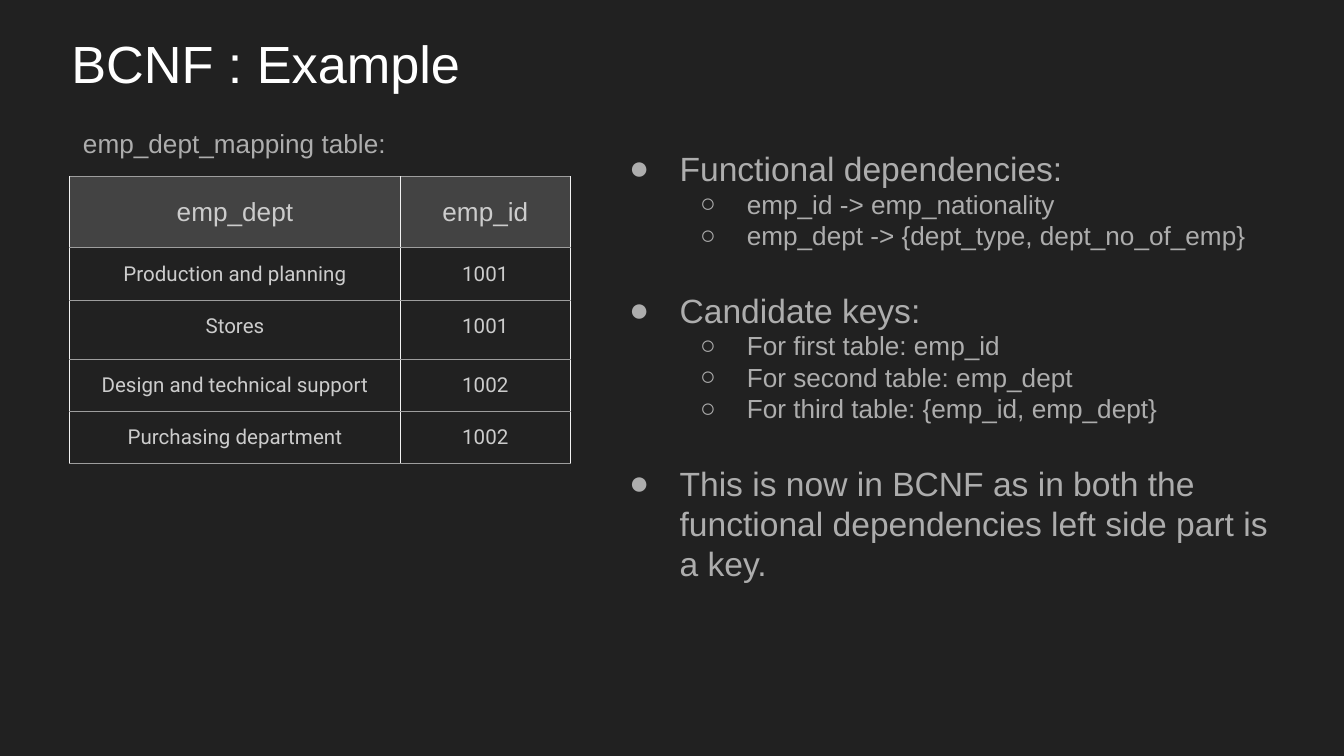
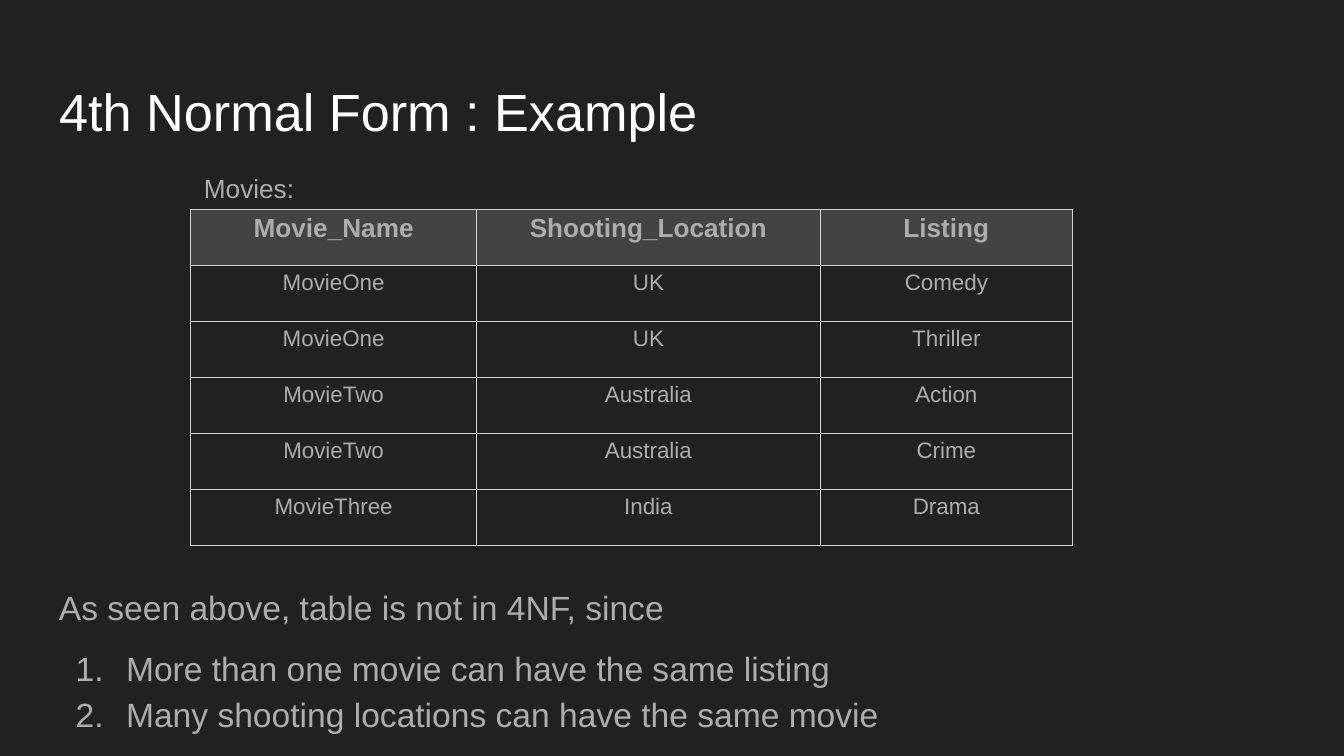
from pptx import Presentation
from pptx.dml.color import RGBColor
from pptx.enum.text import MSO_ANCHOR, MSO_AUTO_SIZE, PP_ALIGN
from pptx.oxml import parse_xml
from pptx.oxml.ns import nsdecls
from pptx.util import Pt

BACKGROUND = "212121"
TITLE_COLOR = "FFFFFF"
BODY_COLOR = "ADADAD"
CELL_COLOR = "CCCCCC"
HEADER_FILL = "434343"
BASE_FONT = "Arial"
INSET = 7.2


def color(value):
    return RGBColor.from_string(value)


def drawing_element(tag, attributes="", content=""):
    return parse_xml(f"<a:{tag} {nsdecls('a')} {attributes}>{content}</a:{tag}>")


def add_run(paragraph, text, size, text_color=BODY_COLOR, font=BASE_FONT, bold=False):
    run = paragraph.add_run()
    run.text = text
    run.font.size = Pt(size)
    run.font.name = font
    run.font.bold = bold
    run.font.color.rgb = color(text_color)


def prepare_frame(frame):
    frame.word_wrap = True
    frame.auto_size = MSO_AUTO_SIZE.NONE
    frame.vertical_anchor = MSO_ANCHOR.TOP
    frame.margin_left = frame.margin_right = Pt(INSET)
    frame.margin_top = frame.margin_bottom = Pt(INSET)
    return frame.paragraphs[0]


def set_bullet(paragraph, marker, left, hanging):
    properties = paragraph._p.get_or_add_pPr()
    properties.set("marL", str(Pt(left)))
    properties.set("indent", str(-Pt(hanging)))
    properties.append(drawing_element("buClr", "", f'<a:srgbClr val="{BODY_COLOR}"/>'))
    properties.append(drawing_element("buFont", f'typeface="{BASE_FONT}"'))
    properties.append(marker)


def add_titled_slide(presentation, title, left, top):
    slide = presentation.slides.add_slide(presentation.slide_layouts[5])
    slide.background.fill.solid()
    slide.background.fill.fore_color.rgb = color(BACKGROUND)
    shape = slide.shapes.title
    shape.left, shape.top, shape.width, shape.height = map(Pt, (left, top, 671, 45))
    paragraph = prepare_frame(shape.text_frame)
    paragraph.alignment = PP_ALIGN.LEFT
    add_run(paragraph, title, 28, TITLE_COLOR)
    return slide


def add_text_box(slide, box):
    shape = slide.shapes.add_textbox(*map(Pt, box))
    return shape.text_frame, prepare_frame(shape.text_frame)


def add_caption(slide, box, text):
    frame, paragraph = add_text_box(slide, box)
    add_run(paragraph, text, 14)


def set_borders(cell, side_color, edge_color):
    properties = cell._tc.get_or_add_tcPr()
    for side, line_color in zip("LRTB", (side_color, side_color, edge_color, edge_color)):
        fill = f'<a:solidFill><a:srgbClr val="{line_color}"/></a:solidFill>'
        properties.append(drawing_element(f"ln{side}", f'w="{Pt(0.75)}"', fill))


def add_grid(slide, left, top, widths, heights, rows, borders, margin, header, body,
             header_anchor=MSO_ANCHOR.TOP, body_spacing=None):
    frame = slide.shapes.add_table(len(rows), len(widths), Pt(left), Pt(top),
                                   Pt(sum(widths)), Pt(sum(heights)))
    table = frame.table
    table.first_row = table.horz_banding = False
    for column, width in zip(table.columns, widths):
        column.width = Pt(width)
    for row, height in zip(table.rows, heights):
        row.height = Pt(height)
    for row_index, texts in enumerate(rows):
        is_header = row_index == 0
        for column_index, text in enumerate(texts):
            cell = table.cell(row_index, column_index)
            cell.margin_left = cell.margin_right = Pt(margin)
            cell.margin_top = cell.margin_bottom = Pt(margin)
            cell.vertical_anchor = header_anchor if is_header else MSO_ANCHOR.TOP
            set_borders(cell, *borders)
            if is_header:
                cell.fill.solid()
                cell.fill.fore_color.rgb = color(HEADER_FILL)
            else:
                cell.fill.background()
            paragraph = cell.text_frame.paragraphs[0]
            paragraph.alignment = PP_ALIGN.CENTER
            if body_spacing and not is_header:
                paragraph.line_spacing, paragraph.space_after = body_spacing
            add_run(paragraph, text, **(header if is_header else body))


def add_outline(slide, box, sections):
    frame, paragraph = add_text_box(slide, box)
    for index, (heading, details) in enumerate(sections):
        if index:
            paragraph = frame.add_paragraph()
            paragraph.space_before = Pt(20.7)
        set_bullet(paragraph, drawing_element("buChar", 'char="●"'), 36, 27)
        add_run(paragraph, heading, 18)
        for detail in details:
            paragraph = frame.add_paragraph()
            paragraph.level = 1
            set_bullet(paragraph, drawing_element("buChar", 'char="○"'), 72, 25)
            add_run(paragraph, detail, 14)


def add_reasons(slide, box, introduction, reasons):
    frame, paragraph = add_text_box(slide, box)
    paragraph.alignment = PP_ALIGN.JUSTIFY
    paragraph.line_spacing = 1.15
    paragraph.space_before = Pt(6)
    add_run(paragraph, introduction, 18)
    for index, reason in enumerate(reasons):
        paragraph = frame.add_paragraph()
        paragraph.line_spacing = 1.15
        paragraph.space_before = Pt(0 if index else 8)
        set_bullet(paragraph, drawing_element("buAutoNum", 'type="arabicPeriod"'), 36, 27)
        add_run(paragraph, reason, 18)


def build_bcnf_slide(presentation):
    slide = add_titled_slide(presentation, "BCNF : Example", 31, 9.4)
    add_caption(slide, (37.4, 61.2, 188, 26.6), "emp_dept_mapping table:")
    rows = [
        ("emp_dept", "emp_id"),
        ("Production and planning", "1001"),
        ("Stores", "1001"),
        ("Design and technical support", "1002"),
        ("Purchasing department", "1002"),
    ]
    add_grid(slide, 37.4, 94.7, (177, 91.3), (38, 28.2, 31.6, 28, 28), rows,
             ("F2F2F2", "9E9E9E"), 5.76,
             {"size": 14, "text_color": CELL_COLOR},
             {"size": 11, "text_color": CELL_COLOR, "font": "Roboto"},
             MSO_ANCHOR.MIDDLE, (1.15, Pt(15)))
    add_outline(slide, (321, 72, 372, 314.6), [
        ("Functional dependencies:",
         ["emp_id -> emp_nationality", "emp_dept -> {dept_type, dept_no_of_emp}"]),
        ("Candidate keys:",
         ["For first table: emp_id", "For second table: emp_dept",
          "For third table: {emp_id, emp_dept}"]),
        ("This is now in BCNF as in both the functional dependencies "
         "left side part is a key.", []),
    ])


def build_fourth_form_slide(presentation):
    slide = add_titled_slide(presentation, "4th Normal Form : Example", 24.5, 35.2)
    add_reasons(slide, (24.5, 303.8, 671, 96.5),
                "As seen above, table is not in 4NF, since",
                ["More than one movie can have the same listing",
                 "Many shooting locations can have the same movie"])
    rows = [
        ("Movie_Name", "Shooting_Location", "Listing"),
        ("MovieOne", "UK", "Comedy"),
        ("MovieOne", "UK", "Thriller"),
        ("MovieTwo", "Australia", "Action"),
        ("MovieTwo", "Australia", "Crime"),
        ("MovieThree", "India", "Drama"),
    ]
    add_grid(slide, 102.2, 112.4, (153.2, 184, 135.3), [30] * len(rows), rows,
             ("D6D6D6", "D6D6D6"), 2.2,
             {"size": 14, "bold": True}, {"size": 12})
    add_caption(slide, (102.2, 85, 162.7, 23.8), "Movies:")


def main():
    presentation = Presentation()
    presentation.slide_width = Pt(720)
    presentation.slide_height = Pt(405)
    build_bcnf_slide(presentation)
    build_fourth_form_slide(presentation)
    presentation.save("out.pptx")


if __name__ == "__main__":
    main()
